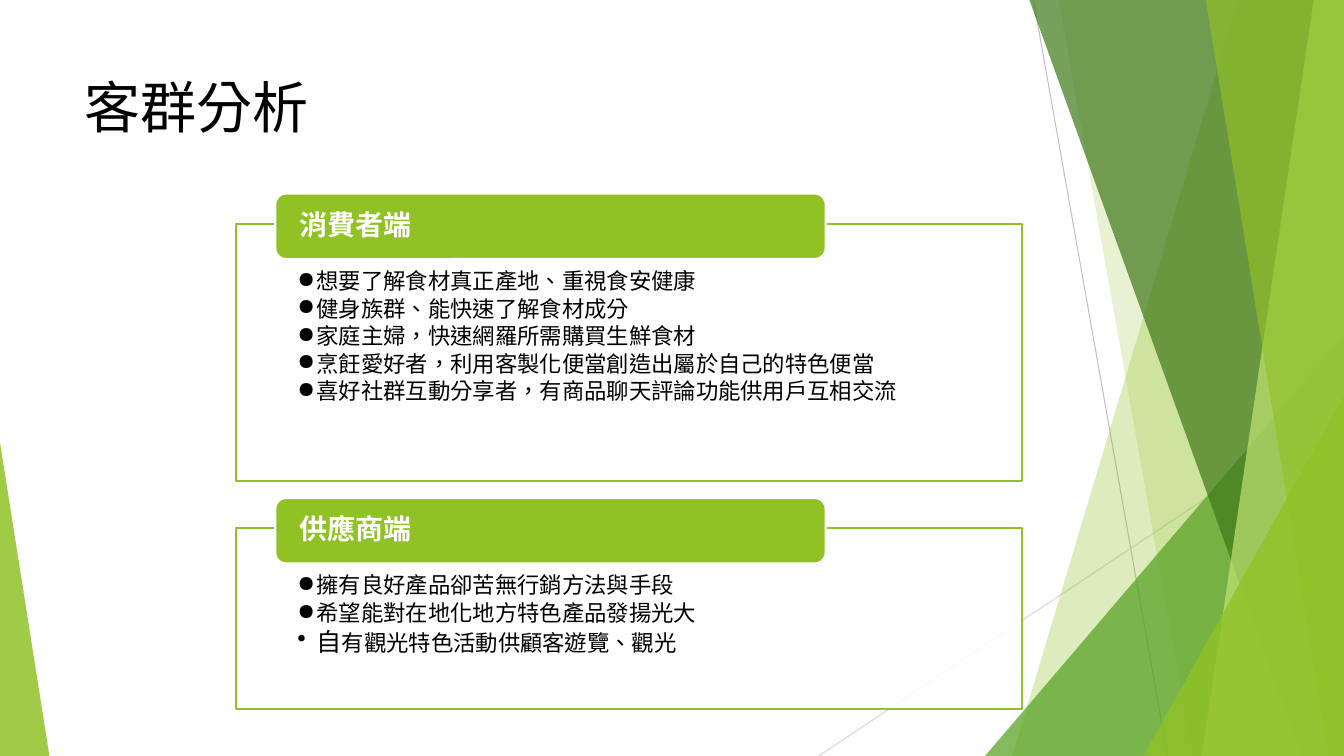
import pptx
import pptx.util
import pptx.dml.color
import pptx.enum.shapes
import pptx.enum.text
import pptx.oxml.ns
from lxml import etree

Inches = pptx.util.Inches
Pt = pptx.util.Pt
SHAPES = pptx.enum.shapes.MSO_SHAPE
ANCHORS = pptx.enum.text.MSO_ANCHOR
LEFT_ALIGNED = pptx.enum.text.PP_ALIGN.LEFT
FONT = "Roboto"
LIME = "90C226"
WHITE = "FFFFFF"
BLACK = "000000"
WIDTH, HEIGHT = 13.33, 7.5

CONSUMERS = [
    ("●", [("想要了解食材真正產地、重視食安健康", 16)]),
    ("●", [("健身族群、能快速了解食材成分", 16)]),
    ("●", [("家庭主婦，快速網羅所需購買生鮮食材", 16)]),
    ("●", [("烹飪愛好者，利用客製化便當創造出屬於自己的特色便當", 16)]),
    ("●", [("喜好社群互動分享者，有商品聊天評論功能供用戶互相交流", 16)]),
]
SUPPLIERS = [
    ("●", [("擁有良好產品卻苦無行銷方法與手段", 16)]),
    ("●", [("希望能對在地化地方特色產品發揚光大", 16)]),
    ("•", [("自", 18), ("有觀光特色活動供顧客遊覽、觀光", 16)]),
]


def add_child(parent, tag, **attributes):
    return etree.SubElement(parent, pptx.oxml.ns.qn(tag), **attributes)


def color(value):
    return pptx.dml.color.RGBColor.from_string(value)


def paint(shape, fill, opacity=100, line=None):
    shape.shadow.inherit = False
    shape.fill.solid()
    shape.fill.fore_color.rgb = color(fill)
    if opacity < 100:
        solid = shape.fill._xPr.find(pptx.oxml.ns.qn("a:solidFill"))
        add_child(solid[0], "a:alpha", val=str(opacity * 1000))
    if line:
        shape.line.color.rgb = color(line)
        shape.line.width = Pt(1.5)
    else:
        shape.line.fill.background()


def add_run(paragraph, text, size, text_color, bold=False):
    run = paragraph.add_run()
    run.text = text
    run.font.size = Pt(size)
    run.font.bold = bold
    run.font.name = FONT
    run.font.color.rgb = color(text_color)
    properties = run._r.get_or_add_rPr()
    properties.set("lang", "zh-TW")
    add_child(properties, "a:ea", typeface=FONT)


def prepare_text(shape, anchor, left, top, right, bottom):
    frame = shape.text_frame
    frame.word_wrap = True
    frame.auto_size = pptx.enum.text.MSO_AUTO_SIZE.NONE
    frame.vertical_anchor = anchor
    frame.margin_left, frame.margin_top = Inches(left), Inches(top)
    frame.margin_right, frame.margin_bottom = Inches(right), Inches(bottom)
    return frame


def add_box(slide, kind, left, top, width, height):
    return slide.shapes.add_shape(
        kind, Inches(left), Inches(top), Inches(width), Inches(height)
    )


def add_decoration(slide):
    for start, end, line_color in (
        ((10.25, 0), (11.58, HEIGHT), "BFBFBF"),
        ((WIDTH, 4.03), (8.12, HEIGHT), "D9D9D9"),
    ):
        line = slide.shapes.add_connector(
            pptx.enum.shapes.MSO_CONNECTOR.STRAIGHT,
            *(Inches(value) for value in start + end),
        )
        line.line.color.rgb = color(line_color)
        line.line.width = Pt(0.75)
        add_child(line._element.spPr, "a:effectLst")

    def add_band(top_left, bottom_left, fill, opacity):
        builder = slide.shapes.build_freeform(Inches(top_left), 0)
        corners = [(WIDTH, 0), (WIDTH, HEIGHT), (bottom_left, HEIGHT)]
        builder.add_line_segments([(Inches(x), Inches(y)) for x, y in corners])
        paint(builder.convert_to_shape(), fill, opacity)

    def add_triangle(left, top, width, apex, fill, opacity):
        triangle = add_box(
            slide, SHAPES.ISOSCELES_TRIANGLE, left, top, width, HEIGHT - top
        )
        triangle.adjustments[0] = apex
        paint(triangle, fill, opacity)

    add_band(12.28, 10.04, LIME, 30)
    add_band(10.5, 11.83, LIME, 20)
    add_triangle(9.77, 3.33, 3.56, 1, "54A021", 72)
    add_band(10.21, 12.91, "3F7819", 70)
    add_band(13.03, 11.92, "C0E474", 70)
    add_band(11.96, 13.18, LIME, 65)
    add_triangle(11.34, 3.93, 1.99, 1, LIME, 80)
    add_triangle(0, 4.39, 0.49, 0, LIME, 85)


def add_title(slide, text, left, top, width, height):
    title = slide.shapes.title
    title.left, title.top = Inches(left), Inches(top)
    title.width, title.height = Inches(width), Inches(height)
    frame = prepare_text(title, ANCHORS.TOP, 0.1, 0.05, 0.1, 0.05)
    frame.paragraphs[0].alignment = LEFT_ALIGNED
    add_run(frame.paragraphs[0], text, 40, BLACK)


def add_segment(slide, heading, items, left, top, width, height):
    panel = add_box(slide, SHAPES.RECTANGLE, left, top, width, height)
    paint(panel, WHITE, 90, LIME)
    frame = prepare_text(panel, ANCHORS.TOP, 0.61, 0.46, 0.61, 0.12)
    for index, (bullet, runs) in enumerate(items):
        paragraph = frame.add_paragraph() if index else frame.paragraphs[0]
        paragraph.alignment = LEFT_ALIGNED
        paragraph.line_spacing = 0.9
        paragraph.space_after = Pt(2.4)
        properties = paragraph._p.get_or_add_pPr()
        properties.set("marL", str(Inches(0.19)))
        properties.set("indent", str(-Inches(0.19)))
        add_child(properties, "a:buChar", char=bullet)
        for text, size in runs:
            add_run(paragraph, text, size, BLACK)

    label = add_box(
        slide, SHAPES.ROUNDED_RECTANGLE, left + 0.39, top - 0.3, width * 0.7, 0.65
    )
    paint(label, LIME, line=WHITE)
    frame = prepare_text(label, ANCHORS.MIDDLE, 0.21, 0, 0.21, 0)
    paragraph = frame.paragraphs[0]
    paragraph.alignment = LEFT_ALIGNED
    paragraph.line_spacing = 0.9
    paragraph.space_after = Pt(7)
    add_run(paragraph, heading, 20, WHITE, bold=True)


def main():
    presentation = pptx.Presentation()
    presentation.slide_width = Inches(WIDTH)
    presentation.slide_height = Inches(HEIGHT)
    slide = presentation.slides.add_slide(presentation.slide_layouts[5])
    add_decoration(slide)
    add_title(slide, "客群分析", 0.74, 0.67, 9.4, 1.44)
    add_segment(slide, "消費者端", CONSUMERS, 2.34, 2.22, 7.8, 2.55)
    add_segment(slide, "供應商端", SUPPLIERS, 2.34, 5.24, 7.8, 1.79)
    presentation.save("out.pptx")


if __name__ == "__main__":
    main()
